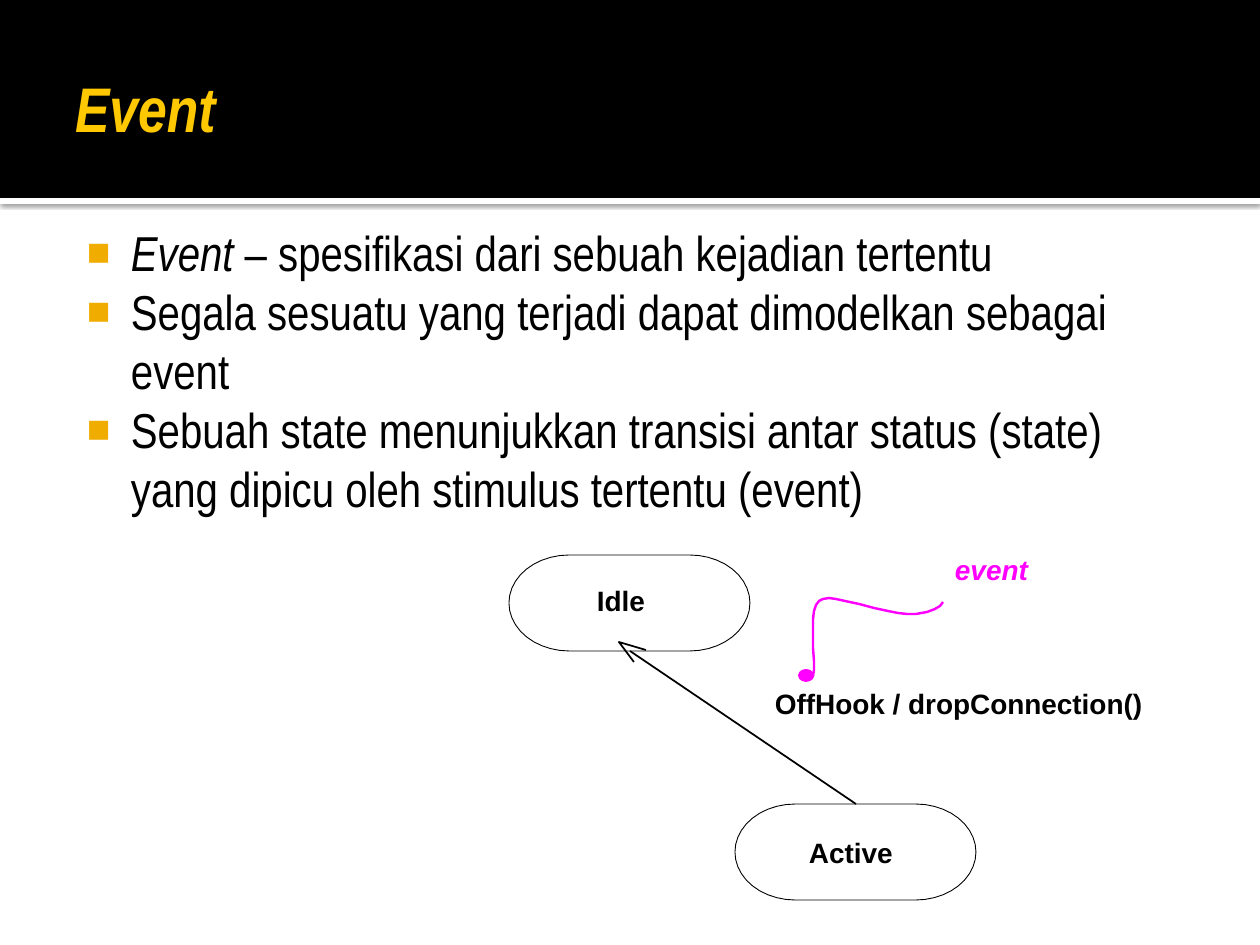
import math

from lxml import etree
from pptx import Presentation
from pptx import util as u
from pptx.dml.color import RGBColor
from pptx.enum import shapes, text
from pptx.oxml import parse_xml
from pptx.oxml.ns import nsdecls, qn

BLACK = RGBColor(0x00, 0x00, 0x00)
WHITE = RGBColor(0xFF, 0xFF, 0xFF)
GOLD = RGBColor(0xFF, 0xC8, 0x00)
AMBER = RGBColor(0xF0, 0xAD, 0x00)
MAGENTA = RGBColor(0xFF, 0x00, 0xFF)

BULLETS = [
    [("Event", True), (" – spesifikasi dari sebuah kejadian tertentu", False)],
    [("Segala sesuatu yang terjadi dapat dimodelkan sebagai event", False)],
    [("Sebuah state menunjukkan transisi antar status (state) "
      "yang dipicu oleh stimulus tertentu (event)", False)],
]
POINTER = [
    (168, 48), (165, 52), (160, 55), (152, 58), (141, 60), (132, 60),
    (123, 59), (113, 57), (99, 54), (84, 50), (70, 47), (61, 45),
    (54, 44), (48, 45), (44, 47), (41, 51), (39, 57), (38, 65),
    (38, 80), (38, 94), (39, 107), (39, 116), (38, 122), (36, 125),
]


def px(length):
    """Turn pixels into EMU at 126 pixels to the inch."""
    return u.Emu(round(length * 914400 / 126))


def paint(shape, fill=None, line=None, width=0.5):
    """Give a shape its fill and line, without shadow."""
    shape.shadow.inherit = False
    if fill is None:
        shape.fill.background()
    else:
        shape.fill.solid()
        shape.fill.fore_color.rgb = fill
    if line is None:
        shape.line.fill.background()
    else:
        shape.line.color.rgb = line
        shape.line.width = u.Pt(width)


def add_path(page, points, closed=False):
    """Draw a freeform through points given in pixels."""
    start, *rest = [(px(x), px(y)) for x, y in points]
    builder = page.shapes.build_freeform(*start, scale=1.0)
    builder.add_line_segments(rest, close=closed)
    return builder.convert_to_shape()


def add_preset(page, kind, box, fill):
    """Add a filled preset shape without outline."""
    shape = page.shapes.add_shape(kind, *map(px, box))
    paint(shape, fill)
    return shape


def set_margins(frame, left, top, right, bottom):
    """Set the insets of a text frame in pixels."""
    frame.margin_left, frame.margin_top = px(left), px(top)
    frame.margin_right, frame.margin_bottom = px(right), px(bottom)


def set_font(font, name, size, color, bold=False):
    """Set the face, size, colour and weight of a font."""
    font.name, font.size, font.bold = name, u.Pt(size), bold
    font.color.rgb = color


def add_header(page, box):
    """Place the black banner, its shadowed edge and the title."""
    left, top, width, height = box
    edge = add_preset(page, shapes.MSO_SHAPE.RECTANGLE,
                      (left, top + height, width, 6), WHITE)
    effects = edge._element.spPr.find(qn("a:effectLst"))
    effects.append(parse_xml(
        f'<a:outerShdw {nsdecls("a")} blurRad="31750" dist="10160" dir="5400000">'
        '<a:srgbClr val="000000"><a:alpha val="60000"/></a:srgbClr></a:outerShdw>'))
    add_preset(page, shapes.MSO_SHAPE.RECTANGLE, box, BLACK)

    title = page.shapes.title
    title.element.getparent().append(title.element)
    title.left, title.top = px(left + 63), px(top + 21)
    title.width, title.height = px(width - 126), px(173)
    frame = title.text_frame
    frame.text = "Event"
    frame.auto_size = text.MSO_AUTO_SIZE.NONE
    frame.vertical_anchor = text.MSO_ANCHOR.MIDDLE
    set_margins(frame, 12, 6, 6, 6)
    para = frame.paragraphs[0]
    para.alignment = text.PP_ALIGN.LEFT
    set_font(para.font, "Arial Narrow", 36, GOLD, bold=True)
    para.font.italic = True


def add_bullet(para):
    """Hang a square amber bullet before a paragraph."""
    props = para._p.get_or_add_pPr()
    props.set("marL", str(px(60)))
    props.set("indent", str(px(-44)))
    color = etree.SubElement(props, qn("a:buClr"))
    etree.SubElement(color, qn("a:srgbClr"), val=str(AMBER))
    etree.SubElement(props, qn("a:buSzPct"), val="80000")
    etree.SubElement(props, qn("a:buFont"), typeface="Arial")
    etree.SubElement(props, qn("a:buChar"), char="■")


def add_body(page, box):
    """Place the bulleted text."""
    frame = page.shapes.add_textbox(*map(px, box)).text_frame
    frame.word_wrap = True
    set_margins(frame, 8, 13, 12, 6)
    for index, parts in enumerate(BULLETS):
        para = frame.add_paragraph() if index else frame.paragraphs[0]
        set_font(para.font, "Arial Narrow", 28, BLACK)
        add_bullet(para)
        for words, italic in parts:
            span = para.add_run()
            span.text = words
            span.font.italic = italic


def add_label(page, box, words, color=BLACK, italic=False):
    """Place one bold label, on one line and without insets."""
    frame = page.shapes.add_textbox(*map(px, box)).text_frame
    frame.word_wrap = False
    frame.auto_size = text.MSO_AUTO_SIZE.SHAPE_TO_FIT_TEXT
    set_margins(frame, 0, 0, 0, 0)
    para = frame.paragraphs[0]
    para.text = words
    para.alignment = text.PP_ALIGN.LEFT
    set_font(para.font, "Arial", 16, color, bold=True)
    para.font.italic = italic


def add_state(page, box, words, label_box):
    """Place a state with elliptical corners and its label."""
    left, top, width, height = box
    across, down = width / 4, height / 2
    points = []
    for step in range(42):
        half, part = divmod(step, 21)
        angle = math.radians(90 + half * 180 + part * 9)
        center = left + (width - across if half else across)
        points.append((center + across * math.cos(angle),
                       top + down - down * math.sin(angle)))
    paint(add_path(page, points, closed=True), WHITE, BLACK)
    dx, dy, label_width, label_height = label_box
    add_label(page, (left + dx, top + dy, label_width, label_height), words)


def add_transition(page, start, end):
    """Draw the transition line and its open arrowhead."""
    line = page.shapes.add_connector(shapes.MSO_CONNECTOR.STRAIGHT,
                                     *map(px, start + end))
    line.line.color.rgb = BLACK
    line.line.width = u.Pt(1)
    etree.SubElement(line._element.spPr, qn("a:effectLst"))
    x, y = end
    head = add_path(page, [(x + 16, y - 1), (x - 11, y - 9), (x + 4, y + 11)])
    paint(head, line=BLACK, width=1)


def add_event(page, box):
    """Place the transition text and the pointer that names its event."""
    left, top, width, height = box
    add_label(page, (left, top + 133, 368, 34), "OffHook / dropConnection()")
    add_label(page, (left + 180, top - 1, 74, 34), "event", MAGENTA, italic=True)
    curve = add_path(page, [(left + x, top + y) for x, y in POINTER])
    paint(curve, line=MAGENTA, width=1.38)
    add_preset(page, shapes.MSO_SHAPE.OVAL, (left + 23, top + 115, 16, 13), MAGENTA)


def add_diagram(page, box):
    """Place the two states, the transition and the event."""
    left, top, width, height = box
    add_state(page, (left, top, 241, 96), "Idle", (88, 28, 50, 34))
    add_state(page, (left + 226, top + 249, 241, 96), "Active", (74, 31, 84, 34))
    add_transition(page, (left + 347, top + 249), (left + 121, top + 96))
    add_event(page, (left + 266, top - 1, 444, 168))


def main():
    """Build and save the deck."""
    deck = Presentation()
    deck.slide_width, deck.slide_height = px(1260), px(945)
    page = deck.slides.add_slide(deck.slide_layouts[5])
    add_header(page, (0, 0, 1260, 198))
    add_body(page, (63, 210, 1134, 315))
    add_diagram(page, (509, 555, 710, 345))
    deck.save("out.pptx")


if __name__ == "__main__":
    main()
